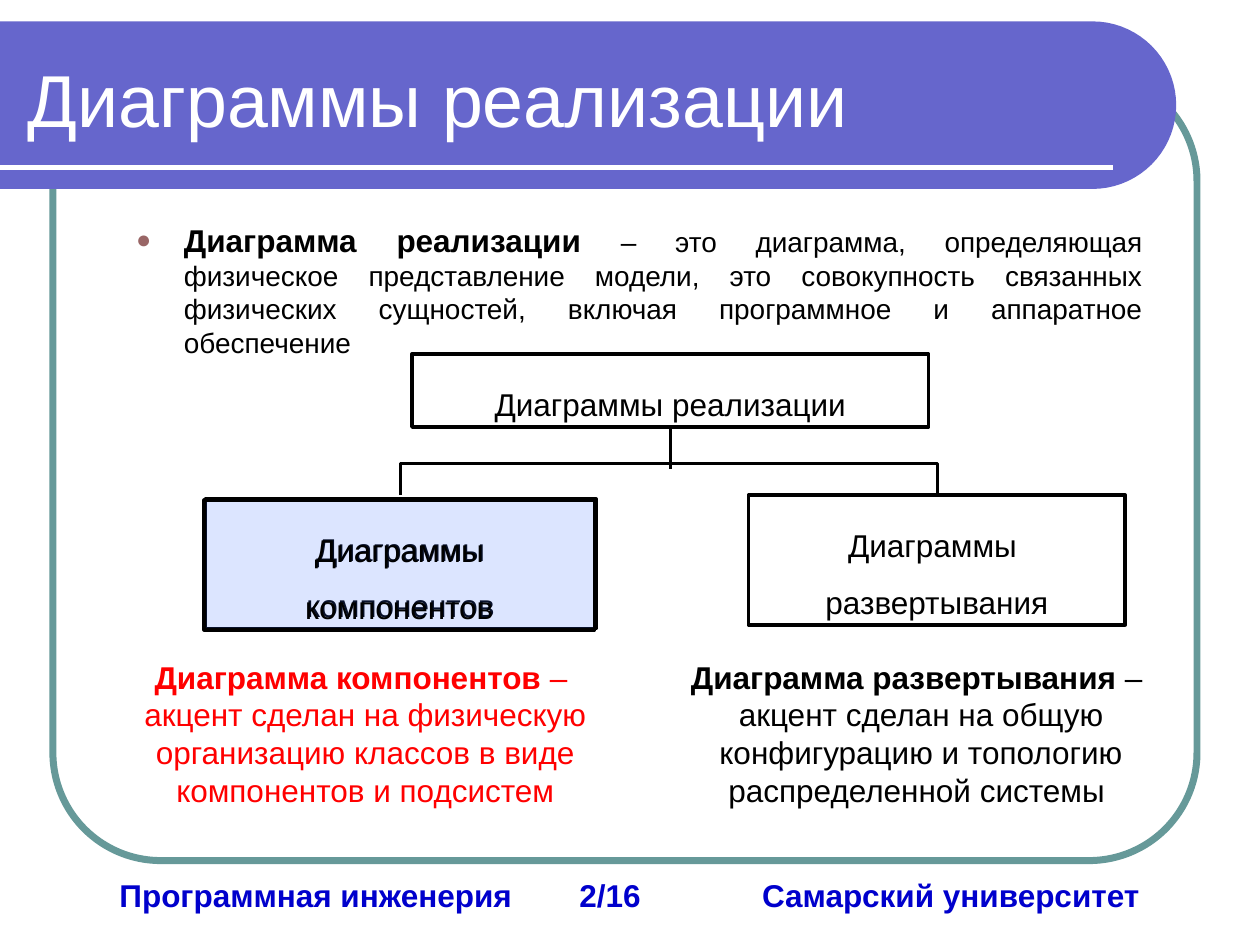
from math import cos, pi, sin

from lxml.etree import SubElement
from pptx import Presentation
from pptx.dml.color import RGBColor
from pptx.enum.shapes import MSO_CONNECTOR, MSO_SHAPE
from pptx.enum.text import MSO_ANCHOR, MSO_AUTO_SIZE, PP_ALIGN
from pptx.oxml.ns import qn
from pptx.util import Inches, Pt

THEME = {
    "font": "Arial", "title_size": 42, "text_size": 18, "small_size": 16,
    "black": "000000", "white": "FFFFFF", "red": "FF0000", "blue": "0000CC",
    "bar": "6666CC", "frame": "669999", "bullet": "996666", "highlight": "3366FF",
}

TITLE = "Диаграммы реализации"
DEFINITION = (
    "Диаграмма реализации ",
    "– это диаграмма, определяющая физическое представление модели, это "
    "совокупность связанных физических сущностей, включая программное и "
    "аппаратное обеспечение",
)
FOOTER = "Программная инженерия\t2/16\tСамарский университет"
FOOTER_TABS = (3.65, 5.1)

# text, (left, top, width, height), highlighted
BOXES = [
    ("Диаграммы реализации", (3.27, 2.81, 4.1, 0.58), False),
    ("Диаграммы компонентов", (1.63, 3.96, 3.1, 1.03), False),
    ("Диаграммы \nразвертывания", (5.94, 3.93, 2.99, 1.03), False),
    ("Диаграммы компонентов", (1.62, 3.97, 3.1, 1.03), True),
]
# term, explanation, left, colour
CAPTIONS = [
    ("Диаграмма компонентов ",
     "– \nакцент сделан на физическую организацию классов в виде "
     "компонентов и подсистем", 0.83, "red"),
    ("Диаграмма развертывания ",
     "– \nакцент сделан на общую конфигурацию и топологию "
     "распределенной системы ", 5.24, "black"),
]


def color(name):
    return RGBColor.from_string(THEME[name])


def place(shape, left, top, width, height):
    shape.left, shape.top = Inches(left), Inches(top)
    shape.width, shape.height = Inches(width), Inches(height)


def add_text(paragraph, text, size="text_size", color_name="black", bold=False):
    """Add a run for each line of the text, with line breaks between them."""
    for index, line in enumerate(text.split("\n")):
        if index:
            paragraph.add_line_break()
        run = paragraph.add_run()
        run.text = line
        run.font.name = THEME["font"]
        run.font.size = Pt(THEME[size])
        run.font.bold = bold
        run.font.color.rgb = color(color_name)


def add_text_box(slide, left, top, width, height):
    frame = slide.shapes.add_textbox(*map(Inches, (left, top, width, height))).text_frame
    frame.word_wrap = True
    return frame.paragraphs[0]


def add_line(slide, kind, begin, end, color_name="black", width=2):
    points = map(Inches, (*begin, *end))
    connector = slide.shapes.add_connector(kind, *points)
    connector.line.color.rgb = color(color_name)
    connector.line.width = Pt(width)
    SubElement(connector._element.spPr, qn("a:effectLst"))
    return connector


def add_background(slide):
    frame = slide.shapes.add_shape(
        MSO_SHAPE.ROUNDED_RECTANGLE, *map(Inches, (0.42, 0.58, 9.08, 6.25)))
    frame.adjustments[0] = 0.137
    frame.shadow.inherit = False
    frame.fill.background()
    frame.line.color.rgb = color("frame")
    frame.line.width = Pt(4)

    radius, center_x, center_y, steps = 0.665, 8.67, 0.835, 36
    angles = [pi * step / steps - pi / 2 for step in range(steps + 1)]
    arc = [(Inches(center_x + radius * cos(angle)), Inches(center_y + radius * sin(angle)))
           for angle in angles]
    builder = slide.shapes.build_freeform(0, Inches(center_y - radius))
    builder.add_line_segments([*arc, (0, Inches(center_y + radius))], close=True)
    bar = builder.convert_to_shape()
    bar.shadow.inherit = False
    bar.fill.solid()
    bar.fill.fore_color.rgb = color("bar")
    bar.line.fill.background()
    add_line(slide, MSO_CONNECTOR.STRAIGHT, (0, 1.33), (8.83, 1.33), "white", 3)


def fill_placeholders(slide):
    title, body = slide.placeholders
    for placeholder in (title, body):
        slide.shapes._spTree.append(placeholder._element)  # in front of the background
        placeholder.text_frame.auto_size = MSO_AUTO_SIZE.NONE
    place(title, 0.12, 0.44, 9.45, 0.67)
    title.text_frame.vertical_anchor = MSO_ANCHOR.MIDDLE
    heading = title.text_frame.paragraphs[0]
    heading.alignment = PP_ALIGN.LEFT
    add_text(heading, TITLE, "title_size", "white")

    place(body, 0.98, 1.7, 8.19, 1.2)
    paragraph = body.text_frame.paragraphs[0]
    paragraph.alignment = PP_ALIGN.JUSTIFY
    paragraph.space_before = Pt(0)
    properties = paragraph._p.get_or_add_pPr()
    properties.set("marL", str(Inches(0.38)))
    properties.set("indent", str(-Inches(0.38)))
    bullet_color = SubElement(properties, qn("a:buClr"))
    SubElement(bullet_color, qn("a:srgbClr"), val=THEME["bullet"])
    SubElement(properties, qn("a:buSzPct"), val="80000")
    SubElement(properties, qn("a:buChar"), char="●")
    term, explanation = DEFINITION
    add_text(paragraph, term, bold=True)
    add_text(paragraph, explanation, "small_size")


def add_box(slide, text, bounds, highlighted):
    box = slide.shapes.add_shape(MSO_SHAPE.RECTANGLE, *map(Inches, bounds))
    box.shadow.inherit = False
    if highlighted:
        box.fill.solid()
        box.fill.fore_color.rgb = color("highlight")
        shade = box._element.spPr.find(qn("a:solidFill"))[0]
        SubElement(shade, qn("a:alpha"), val="17000")
    else:
        box.fill.background()
    box.line.color.rgb = color("black")
    box.line.width = Pt(2)
    frame = box.text_frame
    frame.word_wrap = True
    frame.vertical_anchor = MSO_ANCHOR.MIDDLE
    frame.margin_left = frame.margin_right = Inches(0.15)
    frame.margin_top, frame.margin_bottom = Inches(0.08), Inches(0.02)
    paragraph = frame.paragraphs[0]
    paragraph.alignment = PP_ALIGN.CENTER
    paragraph.line_spacing = 1.5
    add_text(paragraph, text)
    return box


def add_branch(slide, begin, end, rise):
    """Join two points by an elbow that runs above both of them."""
    center_x, center_y = (begin[0] + end[0]) / 2, (begin[1] + end[1]) / 2
    span, drop = end[0] - begin[0], begin[1] - end[1]
    # The elbow is laid out upright, then turned a quarter.
    branch = add_line(slide, MSO_CONNECTOR.ELBOW,
                      (center_x + drop / 2, center_y + span / 2),
                      (center_x - drop / 2, center_y - span / 2))
    properties = branch._element.spPr
    properties.find(qn("a:xfrm")).set("rot", str(90 * 60000))
    guides = properties.find(qn("a:prstGeom")).find(qn("a:avLst"))
    SubElement(guides, qn("a:gd"), name="adj1", fmla=f"val {round(rise / drop * 100000)}")


def add_footer(slide):
    paragraph = add_text_box(slide, 0.85, 6.9, 8.7, 0.4)
    tabs = SubElement(paragraph._p.get_or_add_pPr(), qn("a:tabLst"))
    for position in FOOTER_TABS:
        SubElement(tabs, qn("a:tab"), pos=str(Inches(position)), algn="l")
    add_text(paragraph, FOOTER, color_name="blue", bold=True)


def main():
    presentation = Presentation()
    presentation.slide_width, presentation.slide_height = Inches(10), Inches(7.5)
    slide = presentation.slides.add_slide(presentation.slide_layouts[1])
    add_background(slide)
    fill_placeholders(slide)
    add_footer(slide)
    root, *_ = [add_box(slide, *box) for box in BOXES]
    add_branch(slide, (3.18, 3.93), (7.44, 3.91), 0.25)
    stem = add_line(slide, MSO_CONNECTOR.STRAIGHT, (5.32, 3.39), (5.32, 3.72))
    stem.begin_connect(root, 2)
    for term, explanation, left, color_name in CAPTIONS:
        paragraph = add_text_box(slide, left, 5.17, 4.14, 1.3)
        paragraph.alignment = PP_ALIGN.CENTER
        add_text(paragraph, term, color_name=color_name, bold=True)
        add_text(paragraph, explanation, color_name=color_name)
    presentation.save("out.pptx")


if __name__ == "__main__":
    main()
